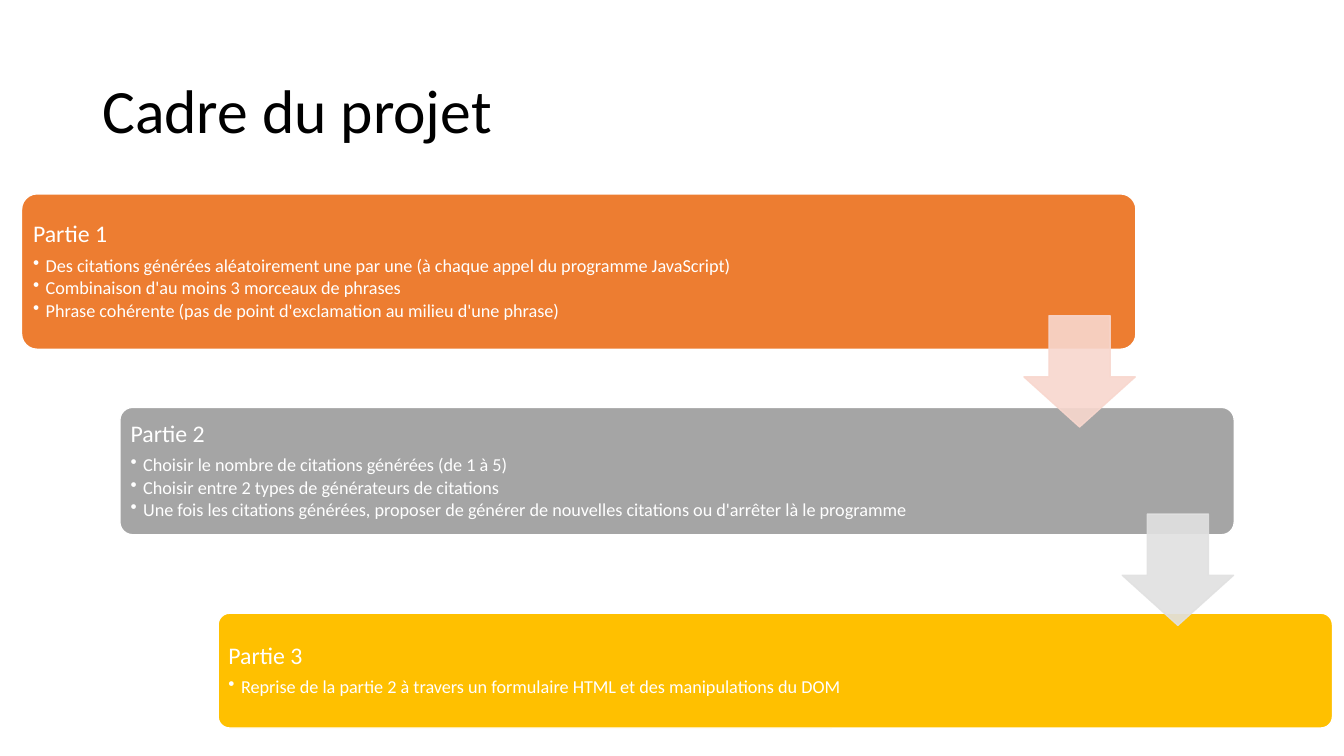
from lxml import etree
from pptx import Presentation
from pptx.dml.color import RGBColor
from pptx.enum.shapes import MSO_SHAPE
from pptx.enum.text import MSO_ANCHOR, PP_ALIGN
from pptx.oxml.ns import qn
from pptx.util import Pt

CARD = MSO_SHAPE.ROUNDED_RECTANGLE
ARROW = MSO_SHAPE.DOWN_ARROW
MIDDLE = MSO_ANCHOR.MIDDLE
LEFT = PP_ALIGN.LEFT

COLORS = {
    "black": "000000",
    "white": "FFFFFF",
    "orange": "ED7D31",
    "gray": "A5A5A5",
    "gold": "FFC000",
    "pale orange": "F8D7CE",
    "pale gray": "E1E1E1",
}

CARD_LEFT, CARD_STEP, CARD_WIDTH = 15.4, 70.2, 796
ARROW_LEFT, ARROW_SIZE = 731.4, 79.5
BULLET_INDENT = 9

PARTS = [
    ("Partie 1", "orange", 138.5, 111, [
        "Des citations générées aléatoirement une par une (à chaque appel du programme JavaScript)",
        "Combinaison d'au moins 3 morceaux de phrases",
        "Phrase cohérente (pas de point d'exclamation au milieu d'une phrase)",
    ]),
    ("Partie 2", "gray", 291, 91, [
        "Choisir le nombre de citations générées (de 1 à 5)",
        "Choisir entre 2 types de générateurs de citations",
        "Une fois les citations générées, proposer de générer de nouvelles citations ou d'arrêter là le programme",
    ]),
    ("Partie 3", "gold", 438, 82, [
        "Reprise de la partie 2 à travers un formulaire HTML et des manipulations du DOM",
    ]),
]
ARROWS = [("pale orange", 225.5), ("pale gray", 367.2)]


def write(paragraph, text, size, color, space_after=0, bullet=False):
    paragraph.text = text
    paragraph.alignment = LEFT
    paragraph.line_spacing = 0.9
    paragraph.space_after = Pt(space_after)
    if bullet:
        properties = paragraph._p.get_or_add_pPr()
        properties.set("marL", str(Pt(BULLET_INDENT)))
        properties.set("indent", str(-Pt(BULLET_INDENT)))
        etree.SubElement(properties, qn("a:buChar"), char="•")
    paragraph.font.name = "Calibri"
    paragraph.font.size = Pt(size)
    paragraph.font.color.rgb = RGBColor.from_string(COLORS[color])


def add_block(slide, preset, left, top, width, height, fill, line):
    shape = slide.shapes.add_shape(preset, Pt(left), Pt(top), Pt(width), Pt(height))
    shape.shadow.inherit = False
    shape.fill.solid()
    shape.fill.fore_color.rgb = RGBColor.from_string(COLORS[fill])
    shape.line.color.rgb = RGBColor.from_string(COLORS[line])
    shape.line.width = Pt(1)
    return shape


presentation = Presentation()
presentation.slide_width = Pt(960)
presentation.slide_height = Pt(540)
slide = presentation.slides.add_slide(presentation.slide_layouts[6])

title = slide.shapes.add_textbox(Pt(66), Pt(28.8), Pt(828), Pt(104.4))
title.text_frame.word_wrap = True
title.text_frame.vertical_anchor = MIDDLE
write(title.text_frame.paragraphs[0], "Cadre du projet", 44, "black")

for index, (heading, color, top, height, points) in enumerate(PARTS):
    card = add_block(slide, CARD, CARD_LEFT + index * CARD_STEP, top,
                     CARD_WIDTH, height, color, "white")
    card.adjustments[0] = 0.1
    frame = card.text_frame
    frame.word_wrap = True
    frame.vertical_anchor = MIDDLE
    frame.margin_left = frame.margin_right = Pt(5)
    frame.margin_top = frame.margin_bottom = Pt(5)
    write(frame.paragraphs[0], heading, 17, "white", 6)
    for point in points:
        write(frame.add_paragraph(), point, 13, "white", 2, bullet=True)

for index, (color, top) in enumerate(ARROWS):
    arrow = add_block(slide, ARROW, ARROW_LEFT + index * CARD_STEP, top,
                      ARROW_SIZE, ARROW_SIZE, color, color)
    arrow.adjustments[0] = 0.55
    arrow.adjustments[1] = 0.45
    for paint in arrow._element.spPr.iter(qn("a:srgbClr")):
        etree.SubElement(paint, qn("a:alpha"), val="90000")

presentation.save("out.pptx")
